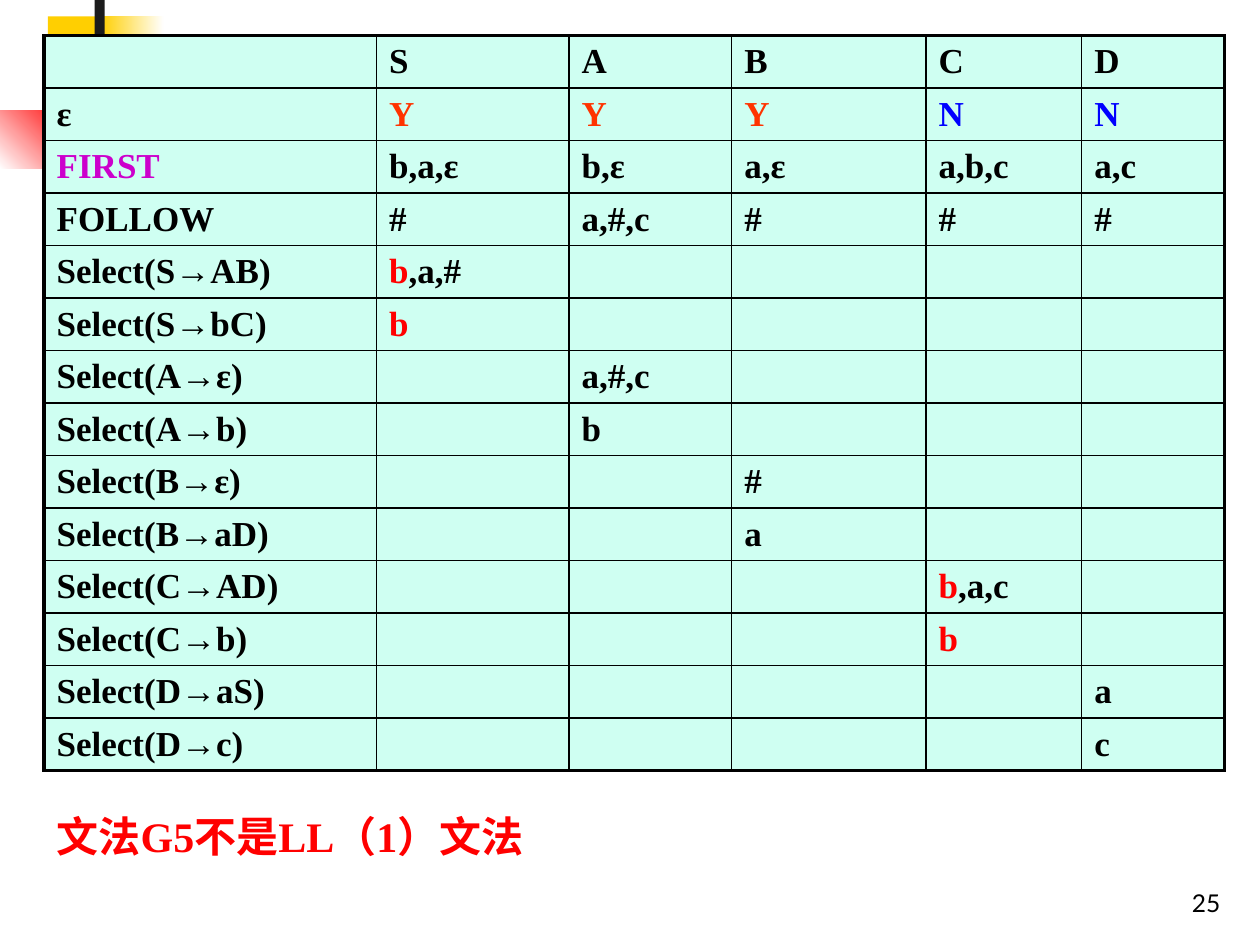
from dataclasses import dataclass

from lxml.etree import SubElement
from pptx import Presentation
from pptx.dml.color import RGBColor
from pptx.enum.shapes import MSO_SHAPE
from pptx.enum.text import MSO_ANCHOR, MSO_AUTO_SIZE, PP_ALIGN
from pptx.oxml.ns import qn
from pptx.slide import Slide
from pptx.table import _Cell as Cell
from pptx.util import Pt

BLACK = RGBColor(0x00, 0x00, 0x00)
WHITE = RGBColor(0xFF, 0xFF, 0xFF)
RED = RGBColor(0xFF, 0x00, 0x00)
ORANGE = RGBColor(0xFF, 0x33, 0x00)
BLUE = RGBColor(0x00, 0x00, 0xFF)
PURPLE = RGBColor(0xCC, 0x00, 0xCC)
YELLOW = RGBColor(0xFF, 0xCF, 0x01)
CHARCOAL = RGBColor(0x1C, 0x1C, 0x1C)
MINT = RGBColor(0xCF, 0xFF, 0xF2)
SERIF = "Times New Roman"
SANS = "Lato"

COLUMN_WIDTHS = (190, 110, 93, 111, 89, 81.5)
ROW_HEIGHT = 29.43
THIN, THICK = 1, 2.25


@dataclass(frozen=True)
class Decoration:
    left: float
    top: float
    width: float
    height: float
    color: RGBColor
    end_color: RGBColor | None = None
    angle: float = 0


@dataclass(frozen=True)
class Run:
    text: str
    color: RGBColor = BLACK


DECORATIONS = (
    Decoration(27.4, 9.4, 48.2, 37.4, YELLOW),
    Decoration(57.6, 9.4, 36, 37.4, YELLOW, WHITE),
    Decoration(0, 63.2, 43.9, 33.1, WHITE, RED, 45),
    Decoration(54, 0, 5.8, 82.8, CHARCOAL),
)

YES, NO, CONFLICT = Run("Y", ORANGE), Run("N", BLUE), Run("b", RED)
SUMMARY_ROWS = (
    ("", "S", "A", "B", "C", "D"),
    ("ε", YES, YES, YES, NO, NO),
    (Run("FIRST", PURPLE), "b,a,ε", "b,ε", "a,ε", "a,b,c", "a,c"),
    ("FOLLOW", "#", "a,#,c", "#", "#", "#"),
)
SELECT_SETS = (
    ("S→AB", (CONFLICT, Run(",a,#"))),
    ("S→bC", CONFLICT),
    ("A→ε", "a,#,c"),
    ("A→b", "b"),
    ("B→ε", "#"),
    ("B→aD", "a"),
    ("C→AD", (CONFLICT, Run(",a,c"))),
    ("C→b", CONFLICT),
    ("D→aS", "a"),
    ("D→c", "c"),
)
Content = str | Run | tuple[Run, ...]


def select_row(production: str, symbols: Content) -> tuple[Content, ...]:
    column = "SABCD".index(production[0])
    values = [symbols if index == column else "" for index in range(5)]
    return (f"Select({production})", *values)


def draw_decoration(slide: Slide, item: Decoration) -> None:
    shape = slide.shapes.add_shape(
        MSO_SHAPE.RECTANGLE, Pt(item.left), Pt(item.top), Pt(item.width), Pt(item.height)
    )
    shape.shadow.inherit = False
    shape.line.fill.background()
    if item.end_color is None:
        shape.fill.solid()
        shape.fill.fore_color.rgb = item.color
        return
    shape.fill.gradient()
    shape.fill.gradient_angle = item.angle
    for stop, color in zip(shape.fill.gradient_stops, (item.color, item.end_color)):
        stop.color.rgb = color


def set_border(cell: Cell, side: str, width: float) -> None:
    line = SubElement(cell._tc.get_or_add_tcPr(), qn(f"a:ln{side}"), w=str(Pt(width)))
    fill = SubElement(line, qn("a:solidFill"))
    SubElement(fill, qn("a:srgbClr"), val=str(BLACK))


def write_cell(cell: Cell, content: Content) -> None:
    cell.margin_top = cell.margin_bottom = Pt(3)
    cell.vertical_anchor = MSO_ANCHOR.MIDDLE
    cell.fill.solid()
    cell.fill.fore_color.rgb = MINT
    if isinstance(content, str):
        content = Run(content)
    runs = (content,) if isinstance(content, Run) else content
    paragraph = cell.text_frame.paragraphs[0]
    font = paragraph.font
    font.name, font.size, font.bold = SERIF, Pt(20), True
    if len(runs) == 1:
        font.color.rgb = runs[0].color
    for item in runs:
        if item.text:
            run = paragraph.add_run()
            run.text = item.text
            if len(runs) > 1:
                run.font.color.rgb = item.color


def draw_table(slide: Slide, rows: list[tuple[Content, ...]]) -> None:
    last_row, last_column = len(rows) - 1, len(COLUMN_WIDTHS) - 1
    frame = slide.shapes.add_table(
        len(rows), len(COLUMN_WIDTHS), Pt(25.2), Pt(20.4),
        Pt(sum(COLUMN_WIDTHS)), Pt(ROW_HEIGHT * len(rows)),
    )
    table = frame.table
    table.first_row = table.horz_banding = False
    for column, width in zip(table.columns, COLUMN_WIDTHS):
        column.width = Pt(width)
    for row_index, row in enumerate(rows):
        table.rows[row_index].height = Pt(ROW_HEIGHT)
        for column_index, content in enumerate(row):
            cell = table.cell(row_index, column_index)
            outer_edges = {
                "L": column_index == 0,
                "R": column_index == last_column,
                "T": row_index == 0,
                "B": row_index == last_row,
            }
            for side, is_outer in outer_edges.items():
                set_border(cell, side, THICK if is_outer else THIN)
            write_cell(cell, content)


def write_conclusion(slide: Slide) -> None:
    body = slide.placeholders[1]
    body.left, body.top, body.width, body.height = Pt(25.2), Pt(463), Pt(674.5), Pt(60)
    frame = body.text_frame
    frame.auto_size = MSO_AUTO_SIZE.NONE
    frame.vertical_anchor = MSO_ANCHOR.TOP
    paragraph = frame.paragraphs[0]
    paragraph.text = "文法G5不是LL（1）文法"
    properties = paragraph._p.get_or_add_pPr()
    properties.set("marL", str(Pt(27)))
    properties.set("indent", str(Pt(-27)))
    SubElement(properties, qn("a:buNone"))
    paragraph.alignment = PP_ALIGN.JUSTIFY
    paragraph.line_spacing = 0.9
    paragraph.space_before = Pt(0)
    font = paragraph.font
    font.name, font.size, font.bold = SERIF, Pt(24), True
    font.color.rgb = RED


def write_page_number(slide: Slide) -> None:
    box = slide.shapes.add_textbox(Pt(554.4), Pt(491.8), Pt(150), Pt(36))
    frame = box.text_frame
    frame.word_wrap = True
    frame.vertical_anchor = MSO_ANCHOR.BOTTOM
    paragraph = frame.paragraphs[0]
    paragraph.text = "25"
    paragraph.alignment = PP_ALIGN.RIGHT
    paragraph.font.name, paragraph.font.size = SANS, Pt(14)
    paragraph.font.color.rgb = BLACK


def main() -> None:
    presentation = Presentation()
    presentation.slide_width, presentation.slide_height = Pt(720), Pt(540)
    slide = presentation.slides.add_slide(presentation.slide_layouts[1])
    title = slide.shapes.title.element
    title.getparent().remove(title)
    for decoration in DECORATIONS:
        draw_decoration(slide, decoration)
    write_page_number(slide)
    write_conclusion(slide)
    draw_table(slide, [*SUMMARY_ROWS, *(select_row(*item) for item in SELECT_SETS)])
    presentation.save("out.pptx")


if __name__ == "__main__":
    main()
